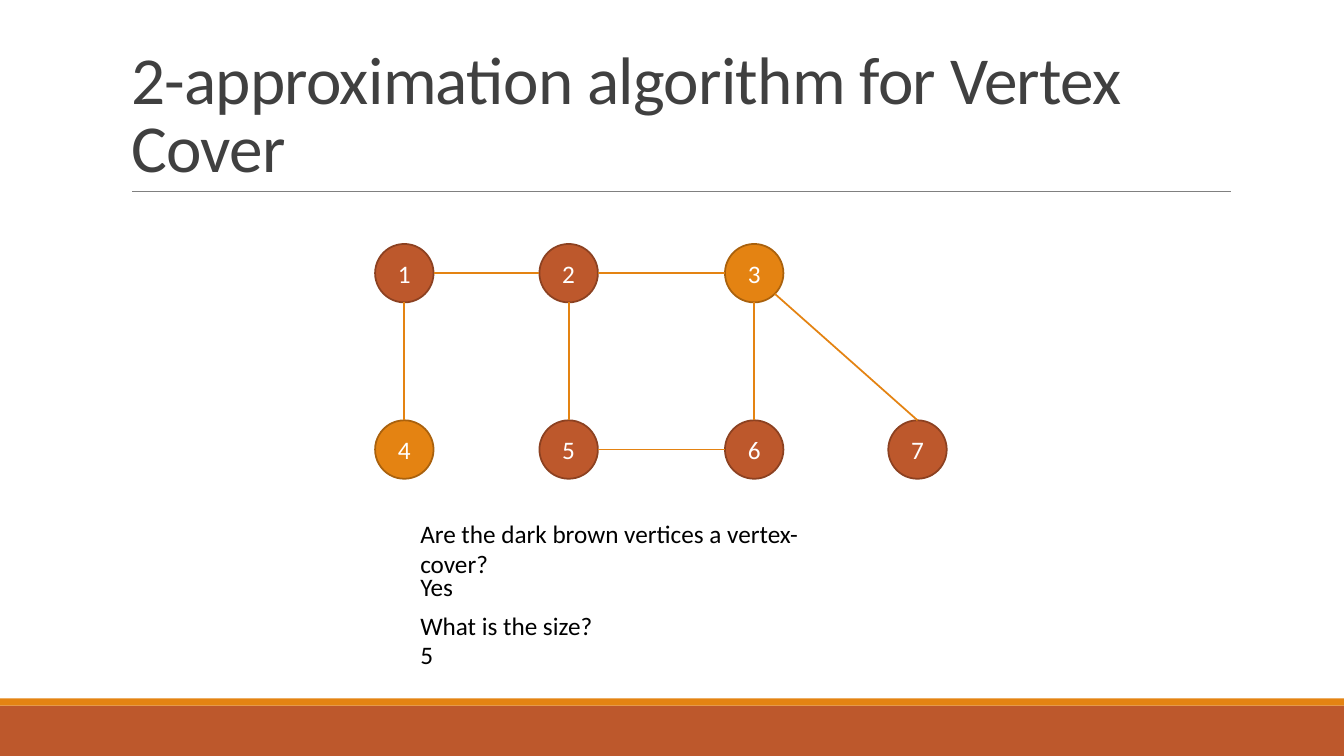
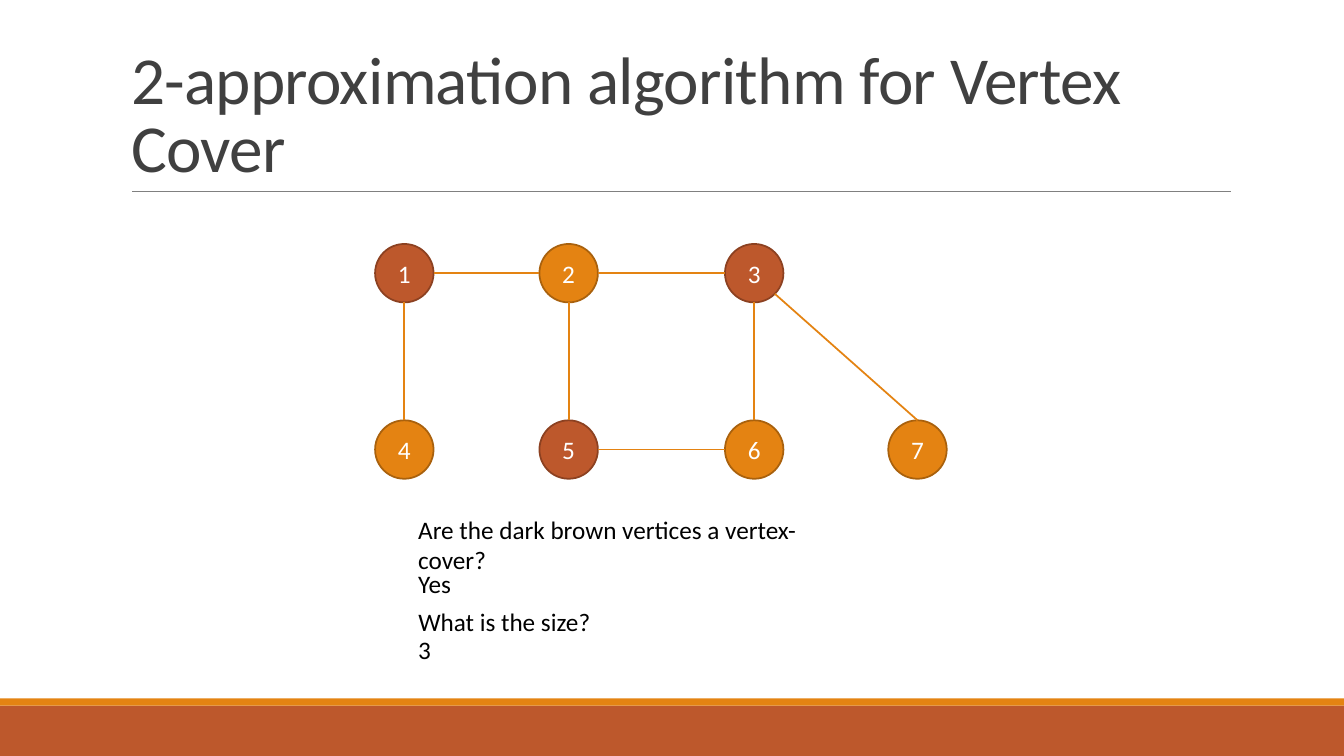
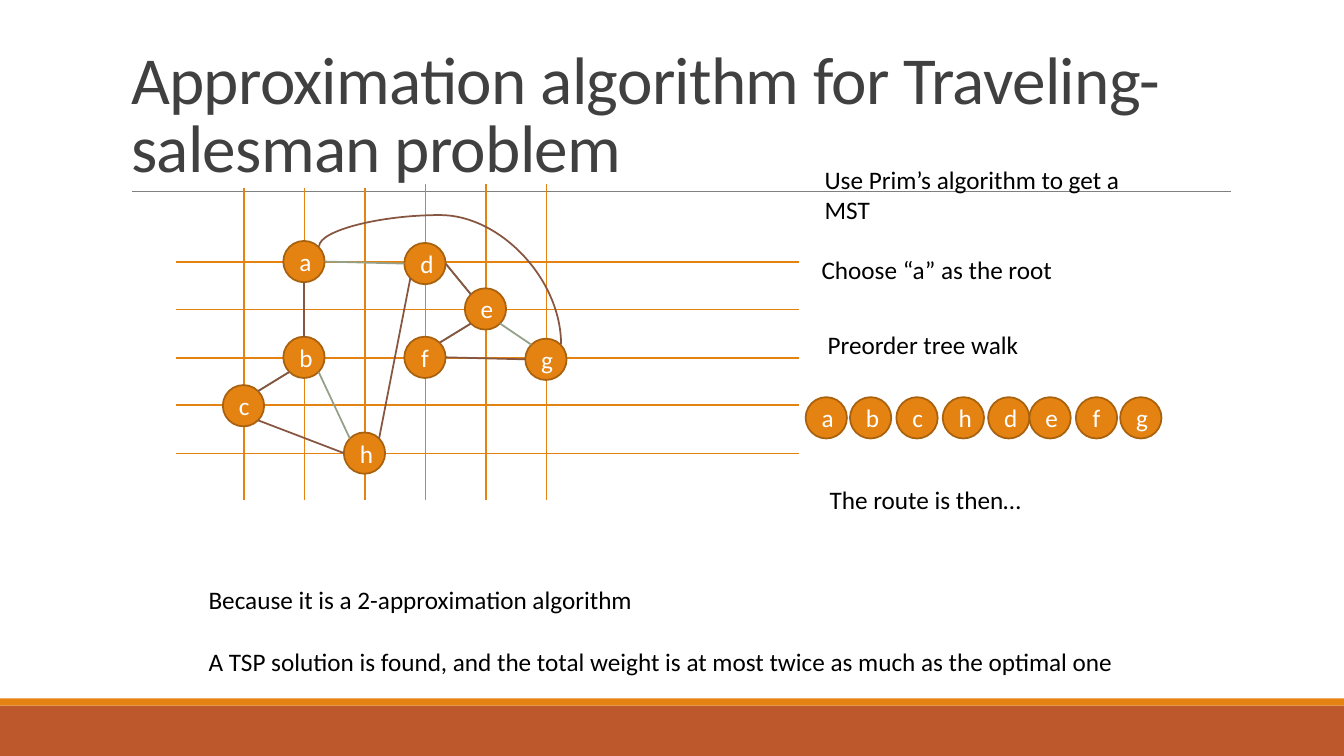
from pptx import Presentation
from pptx.dml.color import RGBColor
from pptx.enum.shapes import MSO_CONNECTOR, MSO_SHAPE
from pptx.enum.text import MSO_ANCHOR, MSO_AUTO_SIZE, PP_ALIGN
from pptx.oxml.ns import qn
from pptx.util import Emu, Pt
from lxml.etree import SubElement

SCALE = 9144
WIDE, HIGH = 1333, 750
FONT = "Calibri"
WHITE = RGBColor(0xFF, 0xFF, 0xFF)
BLACK = RGBColor(0, 0, 0)
DARK = RGBColor(0x40, 0x40, 0x40)
GRAY = RGBColor(0x80, 0x80, 0x80)
ORANGE = RGBColor(0xE4, 0x83, 0x12)
AMBER = RGBColor(0xA9, 0x61, 0x0D)
RUST = RGBColor(0xBD, 0x58, 0x2C)
UMBER = RGBColor(0x8C, 0x41, 0x21)
SAGE = RGBColor(0x94, 0xA0, 0x88)
BROWN = RGBColor(0x86, 0x56, 0x40)
DIAG = 0.5 ** 0.5
SIDES = {
    "n": (0, -1), "s": (0, 1), "e": (1, 0), "w": (-1, 0),
    "ne": (DIAG, -DIAG), "nw": (-DIAG, -DIAG),
    "se": (DIAG, DIAG), "sw": (-DIAG, DIAG),
}


def px(*nums):
    return [Emu(round(num * SCALE)) for num in nums]


def write(frame, text, size=18, color=BLACK, align=PP_ALIGN.LEFT,
          anchor=MSO_ANCHOR.TOP, fit=MSO_AUTO_SIZE.NONE, lead=None, track=None):
    frame.word_wrap = True
    frame.auto_size = fit
    frame.vertical_anchor = anchor
    para = frame.paragraphs[0]
    para.alignment = align
    if lead:
        para.line_spacing = lead
    run = para.add_run()
    run.text = text
    run.font.name = FONT
    run.font.size = Pt(size)
    run.font.color.rgb = color
    if track:
        run.font._element.set("spc", str(track))


class Deck:
    def __init__(self):
        self.show = Presentation()
        self.show.slide_width, self.show.slide_height = px(WIDE, HIGH)

    def start(self, title):
        self.slide = self.show.slides.add_slide(self.show.slide_layouts[5])
        self.shapes = self.slide.shapes
        self.shape(MSO_SHAPE.RECTANGLE, (0, 700, WIDE, 50), RUST)
        self.shape(MSO_SHAPE.RECTANGLE, (0, 693, WIDE, 7), ORANGE)
        self.line((131, 190), (1221, 190), GRAY, 0.5)
        head = self.shapes.title
        head.left, head.top, head.width, head.height = px(120, 31, 1100, 159)
        write(head.text_frame, title, size=48, color=DARK,
              anchor=MSO_ANCHOR.BOTTOM, lead=0.85, track=-50)

    def shape(self, kind, box, fill, edge=None):
        item = self.shapes.add_shape(kind, *px(*box))
        item.shadow.inherit = False
        item.fill.solid()
        item.fill.fore_color.rgb = fill
        if edge:
            item.line.color.rgb = edge
            item.line.width = Pt(1.25)
        else:
            item.line.fill.background()
        return item

    def node(self, name, left, top, size, dark=False):
        fill, edge = (RUST, UMBER) if dark else (ORANGE, AMBER)
        item = self.shape(MSO_SHAPE.OVAL, (left, top, size, size), fill, edge)
        write(item.text_frame, name, color=WHITE,
              align=PP_ALIGN.CENTER, anchor=MSO_ANCHOR.MIDDLE)

    def line(self, start, end, color, width=1.25, kind=MSO_CONNECTOR.STRAIGHT):
        item = self.shapes.add_connector(kind, *px(*start, *end))
        item.line.color.rgb = color
        item.line.width = Pt(width)
        SubElement(item._element.spPr, qn("a:effectLst"))
        return item

    def curve(self, start, end, color, turn, bend):
        item = self.line(start, end, color, kind=MSO_CONNECTOR.CURVE)
        props = item._element.spPr
        props.find(qn("a:xfrm")).set("rot", str(turn * 60000))
        guides = props.find(qn("a:prstGeom")).find(qn("a:avLst"))
        SubElement(guides, qn("a:gd"), name="adj1", fmla=f"val {bend}")

    def edges(self, spots, size, links, color):
        def point(name, side):
            return [spot + size / 2 * (1 + step)
                    for spot, step in zip(spots[name], SIDES[side])]

        for link in links.split(","):
            one, out, two, into = link.split()
            self.line(point(one, out), point(two, into), color)

    def note(self, text, left, top, width, height=40):
        item = self.shapes.add_textbox(*px(left, top, width, height))
        write(item.text_frame, text, fit=MSO_AUTO_SIZE.SHAPE_TO_FIT_TEXT)


COVER = {
    "4": (372, 417), "1": (372, 242), "2": (535, 242), "3": (719, 242),
    "6": (719, 417), "5": (535, 417), "7": (881, 417),
}
COVER_LINKS = "1 s 4 n,1 e 2 w,2 e 3 w,2 s 5 n,3 se 7 n,3 s 6 n,5 e 6 w"
TOUR = {
    "a": (281, 239), "b": (281, 334), "c": (221, 382), "d": (401, 241),
    "e": (461, 286), "f": (401, 334), "g": (521, 336), "h": (341, 429),
}
TREE_LINKS = "a s b n,b sw c ne,b se h nw,a e d w,d e e nw,e se g nw,e sw f ne"
TOUR_LINKS = "b n a s,c ne b sw,c se h w,h ne d sw,f ne e sw,d e e nw,f e g w"
WALK = {"a": 799, "b": 843, "c": 889, "h": 935,
        "d": 980, "e": 1021, "f": 1067, "g": 1111}


def cover(deck, chosen, left, top, rows, last):
    deck.start("2-approximation algorithm for Vertex Cover")
    for name, spot in COVER.items():
        deck.node(name, *spot, 58, name in chosen)
    deck.edges(COVER, 58, COVER_LINKS, ORANGE)
    deck.note("Are the dark brown vertices a vertex-cover?", left, top, 417, 71)
    texts = ("Yes", "What is the size?", str(len(chosen)))
    for text, row, width in zip(texts, rows, (417, 575, last)):
        deck.note(text, left, row, width)


def tour(deck):
    deck.start("Approximation algorithm for Traveling-salesman problem")
    deck.note("Use Prim’s algorithm to get a MST", 808, 158, 333, 71)
    for row in range(5):
        level = 260 + 95 * row // 2
        deck.line((175, level), (792, level), ORANGE, 1)
    for col in range(6):
        across = 242 + 60 * col
        deck.line((across, 187 if col < 3 else 183), (across, 496), ORANGE, 1)
    for name, spot in TOUR.items():
        deck.node(name, *spot, 41)
    deck.edges(TOUR, 41, TREE_LINKS, SAGE)
    deck.note("Choose “a” as the root", 805, 247, 333)
    deck.note("Preorder tree walk", 811, 322, 333)
    for name, left in WALK.items():
        deck.node(name, left, 394, 41)
    deck.note("The route is then…", 813, 476, 333)
    deck.edges(TOUR, 41, TOUR_LINKS, BROWN)
    deck.curve((485, 173), (388, 413), BROWN, 270, -32100)
    deck.note("Because it is a 2-approximation algorithm", 197, 575, 969)
    deck.note("A TSP solution is found, and the total weight is at most twice "
              "as much as the optimal one", 197, 636, 969)


def main():
    deck = Deck()
    cover(deck, "12567", 407, 509, (562, 601, 629), 575)
    cover(deck, "135", 405, 505, (559, 597, 624), 67)
    tour(deck)
    deck.show.save("out.pptx")


if __name__ == "__main__":
    main()
